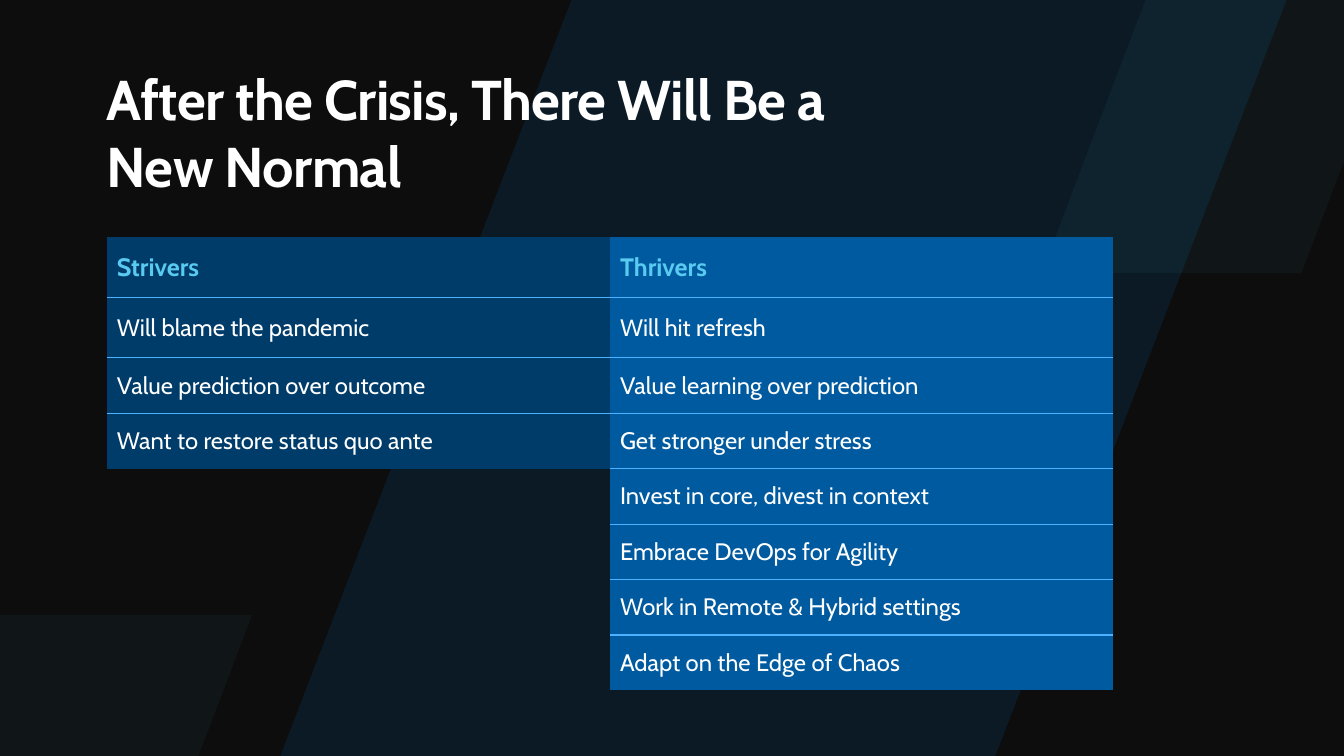
from dataclasses import dataclass

from lxml import etree
from pptx import Presentation
from pptx.dml.color import RGBColor
from pptx.enum.shapes import MSO_SHAPE
from pptx.enum.text import MSO_ANCHOR, MSO_AUTO_SIZE, PP_ALIGN
from pptx.oxml.ns import qn
from pptx.util import Pt

PARALLELOGRAM = MSO_SHAPE.PARALLELOGRAM
TOP, MIDDLE = MSO_ANCHOR.TOP, MSO_ANCHOR.MIDDLE
NO_AUTOFIT = MSO_AUTO_SIZE.NONE
LEFT = PP_ALIGN.LEFT
TITLE_ONLY = 5
EMU_PER_PX = 9144  # 100 px to the inch


@dataclass(frozen=True)
class Theme:
    font: str = "Cabin"
    background: str = "0D0D0D"
    text: str = "FFFFFF"
    heading: str = "5ACBF0"
    rule: str = "4CB1FF"
    wide_band: str = "0078D4"
    corner_band: str = "5ACBF0"
    strivers: str = "003C6A"
    thrivers: str = "005A9F"
    title_size: int = 40
    heading_size: int = 18
    item_size: int = 17


def px(length):
    return round(length * EMU_PER_PX)


def write(frame, text, *, font, size, color, bold=False, tracking=0, after=None):
    """Put one formatted paragraph in a text frame; tracking is in points."""
    para = frame.paragraphs[0]
    para.alignment = LEFT
    if after is not None:
        para.space_after = Pt(after)
    span = para.add_run()
    span.text = text
    span.font.name = font
    span.font.size = Pt(size)
    span.font.bold = bold
    span.font.color.rgb = RGBColor.from_string(color)
    if tracking:
        span.font._element.set("spc", str(round(tracking * 100)))


def set_borders(cell, color, top, bottom):
    """Draw the chosen horizontal rules and hide every other edge."""
    properties = cell._tc.get_or_add_tcPr()
    shown = {"lnL": False, "lnR": False, "lnT": top, "lnB": bottom}
    for position, (tag, visible) in enumerate(shown.items()):
        line = etree.Element(qn(f"a:{tag}"), w=str(Pt(1) if visible else 0))
        if visible:
            fill = etree.SubElement(line, qn("a:solidFill"))
            etree.SubElement(fill, qn("a:srgbClr"), val=color)
        else:
            etree.SubElement(line, qn("a:noFill"))
        properties.insert(position, line)


class SlideBuilder:
    def __init__(self, deck, theme):
        self.theme = theme
        self.page = deck.slides.add_slide(deck.slide_layouts[TITLE_ONLY])
        fill = self.page.background.fill
        fill.solid()
        fill.fore_color.rgb = RGBColor.from_string(theme.background)

    def band(self, left, top, width, height, color, opacity):
        """Add a translucent slanted band; opacity is in percent."""
        shape = self.page.shapes.add_shape(
            PARALLELOGRAM, px(left), px(top), px(width), px(height))
        shape.adjustments[0] = 0.385
        shape.shadow.inherit = False
        shape.line.fill.background()
        shape.fill.solid()
        shape.fill.fore_color.rgb = RGBColor.from_string(color)
        tint = shape._element.spPr.find(f".//{qn('a:srgbClr')}")
        etree.SubElement(tint, qn("a:alpha"), val=str(opacity * 1000))

    def title(self, text, left, top, width, height):
        box = self.page.shapes.title
        box.left, box.top, box.width, box.height = map(px, (left, top, width, height))
        self.page.shapes._spTree.append(box._element)
        frame = box.text_frame
        frame.word_wrap = True
        frame.auto_size = NO_AUTOFIT
        frame.vertical_anchor = TOP
        frame.margin_left = frame.margin_right = 0
        frame.margin_top = frame.margin_bottom = 0
        write(frame, text, font=self.theme.font, size=self.theme.title_size,
              color=self.theme.text, bold=True, tracking=-0.5)

    def list_table(self, heading, items, left, top, width, fill):
        """Add a one-column table with a heading row above its items."""
        theme = self.theme
        rows = [heading, *items]
        heights = [60, 60] + [55] * (len(rows) - 2)
        table = self.page.shapes.add_table(
            len(rows), 1, px(left), px(top), px(width), px(sum(heights))).table
        table.horz_banding = False
        for index, (text, height) in enumerate(zip(rows, heights)):
            table.rows[index].height = px(height)
            cell = table.cell(index, 0)
            cell.vertical_anchor = MIDDLE
            cell.fill.solid()
            cell.fill.fore_color.rgb = RGBColor.from_string(fill)
            set_borders(cell, theme.rule, index > 0, index < len(rows) - 1)
            if index == 0:
                write(cell.text_frame, text, font=theme.font, size=theme.heading_size,
                      color=theme.heading, bold=True, after=21)
            else:
                write(cell.text_frame, text, font=theme.font, size=theme.item_size,
                      color=theme.text)


STRIVERS = [
    "Will blame the pandemic",
    "Value prediction over outcome",
    "Want to restore status quo ante",
]
THRIVERS = [
    "Will hit refresh",
    "Value learning over prediction",
    "Get stronger under stress",
    "Invest in core, divest in context",
    "Embrace DevOps for Agility",
    "Work in Remote & Hybrid settings",
    "Adapt on the Edge of Chaos",
]


def main():
    theme = Theme()
    deck = Presentation()
    deck.slide_width, deck.slide_height = px(1333), px(750)
    slide = SlideBuilder(deck, theme)

    slide.band(278, 0, 998, 750, theme.wide_band, 12)
    for left, top in ((1033, -153), (-169, 610)):
        slide.band(left, top, 419, 424, theme.corner_band, 5)

    margin, table_top, column = 106, 235, 499
    slide.list_table("Strivers", STRIVERS, margin, table_top, column, theme.strivers)
    slide.title("After the Crisis, There Will Be a New Normal", margin, 64, 720, 135)
    slide.list_table("Thrivers", THRIVERS, margin + column, table_top, column,
                     theme.thrivers)

    deck.save("out.pptx")


if __name__ == "__main__":
    main()
